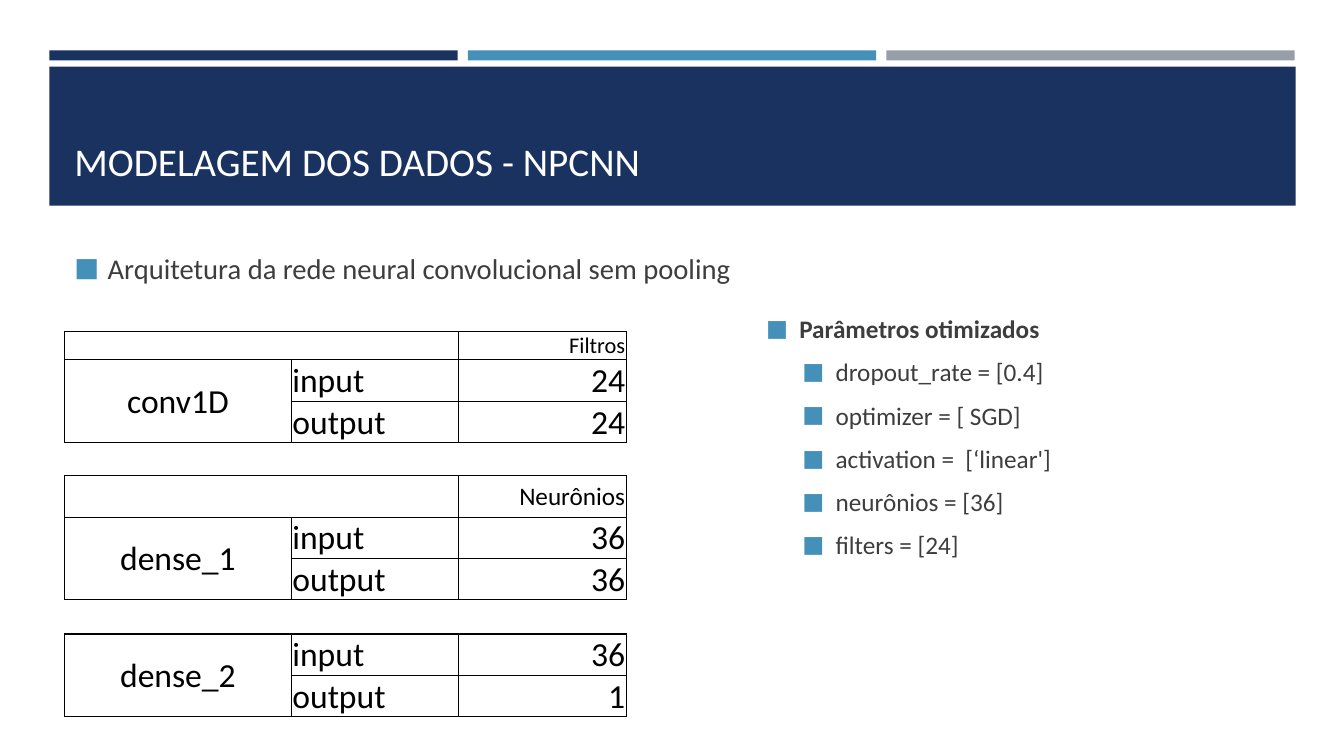
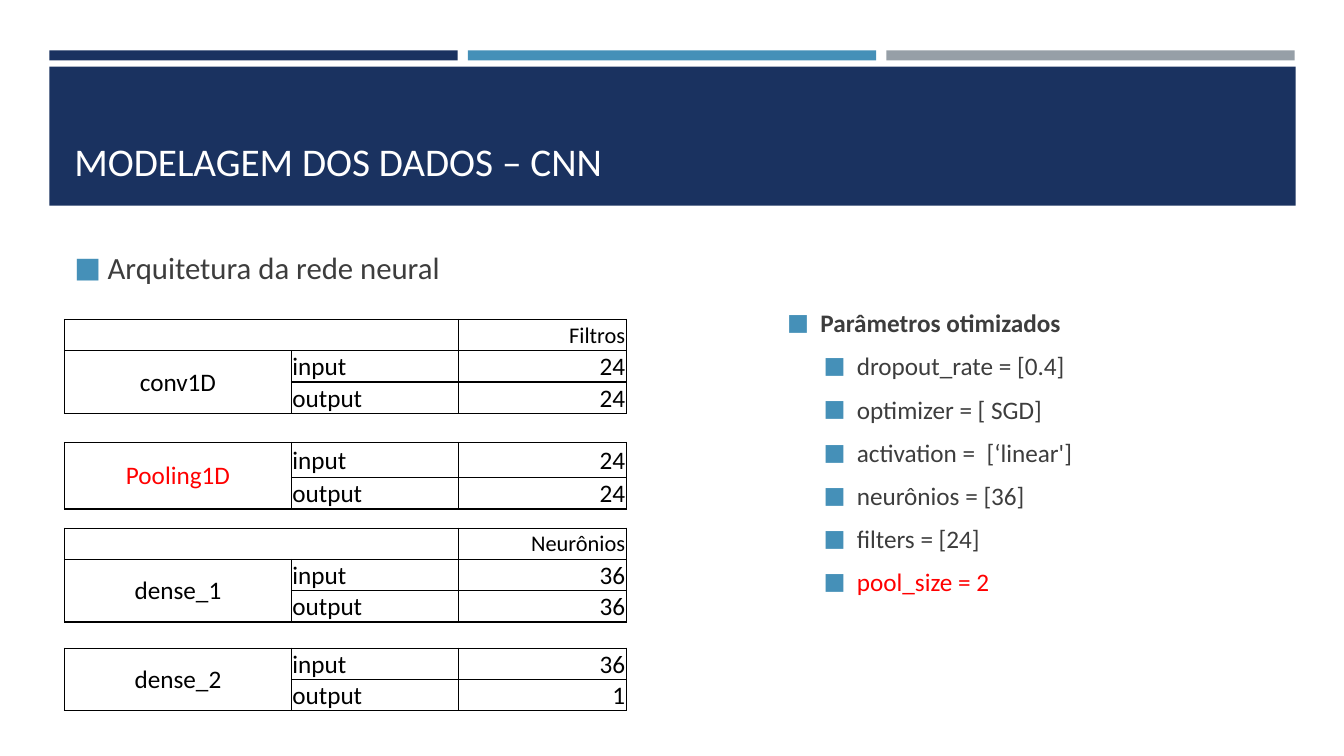
from dataclasses import dataclass

from lxml.etree import SubElement
from pptx import Presentation
from pptx.dml.color import RGBColor
from pptx.enum.shapes import MSO_SHAPE as Preset
from pptx.enum.text import MSO_ANCHOR as Anchor, PP_ALIGN as Align
from pptx.oxml import parse_xml
from pptx.oxml.ns import nsdecls, qn
from pptx.util import Pt

PX = 9144  # EMU per px, 100 px to the inch
FONT = "Calibri"
NAVY = RGBColor(0x1A, 0x32, 0x60)
BLUE = RGBColor(0x45, 0x90, 0xB8)
GRAY = RGBColor(0x96, 0x9F, 0xA7)
INK = RGBColor(0x3D, 0x3D, 0x3D)
RED = RGBColor(0xFF, 0x00, 0x00)
BLACK = RGBColor(0x00, 0x00, 0x00)
WHITE = RGBColor(0xFF, 0xFF, 0xFF)

LEFT = 64
COLUMNS = (225, 166, 166)
BAND_LEFT, BAND_WIDTH = 49, 1236
STRIP_WIDTH, STRIP_STEP = 405, 415
PARAMETERS = ("dropout_rate = [0.4]", "optimizer = [ SGD]", "activation =  [‘linear']",
              "neurônios = [36]", "filters = [24]")


@dataclass(frozen=True)
class Layer:
    """One network layer, shown as a small table."""
    name: str
    top: int
    sizes: tuple[str, str]
    rows: tuple[int, ...]
    header: str = ""
    header_size: int = 16
    color: RGBColor = BLACK


@dataclass(frozen=True)
class Bullet:
    text: str
    size: float = 18
    color: RGBColor = INK
    bold: bool = False
    level: int = 0


@dataclass(frozen=True)
class Model:
    """The content of one slide."""
    title: str
    subtitle: Bullet
    layers: tuple[Layer, ...]
    layer_size: int
    list_left: int
    list_top: int
    extra: tuple[Bullet, ...] = ()


MODELS = (
    Model("MODELAGEM DOS DADOS - NPCNN",
          Bullet("Arquitetura da rede neural convolucional sem pooling", 20.4),
          (Layer("conv1D", 329, ("24", "24"), (28, 41, 41), "Filtros"),
           Layer("dense_1", 472, ("36", "36"), (41, 41, 41), "Neurônios", 18),
           Layer("dense_2", 629, ("36", "1"), (41, 41))),
          24, 750, 311),
    Model("MODELAGEM DOS DADOS – CNN",
          Bullet("Arquitetura da rede neural", 22),
          (Layer("conv1D", 317, ("24", "24"), (31, 31, 31), "Filtros"),
           Layer("Pooling1D", 439, ("24", "24"), (35, 31), color=RED),
           Layer("dense_1", 524, ("36", "36"), (31, 31, 31), "Neurônios"),
           Layer("dense_2", 643, ("36", "1"), (31, 31))),
          18, 771, 305, (Bullet("pool_size = 2", color=RED, level=1),)),
)


def add_run(paragraph, text: str, size: float, color: RGBColor, bold: bool = False) -> None:
    run = paragraph.add_run()
    run.text = text
    font = run.font
    font.name, font.size, font.bold = FONT, Pt(size), bold
    font.color.rgb = color


def add_bar(slide, left: int, top: int, width: int, height: int, color: RGBColor) -> None:
    bar = slide.shapes.add_shape(Preset.RECTANGLE, left * PX, top * PX, width * PX, height * PX)
    bar.shadow.inherit = False
    bar.fill.solid()
    bar.fill.fore_color.rgb = color
    bar.line.fill.background()


def add_text_frame(slide, left: int, top: int, width: int, height: int, anchor: Anchor):
    frame = slide.shapes.add_textbox(left * PX, top * PX, width * PX, height * PX).text_frame
    frame.word_wrap = True
    frame.vertical_anchor = anchor
    return frame


def add_bullet(paragraph, bullet: Bullet, space_before: float = 0) -> None:
    paragraph.level = bullet.level
    paragraph.space_before, paragraph.space_after = Pt(space_before), Pt(6)
    props = paragraph._p.get_or_add_pPr()
    props.set("marL", str((33 + 36 * bullet.level) * PX))
    props.set("indent", str(-33 * PX))
    SubElement(SubElement(props, qn("a:buClr")), qn("a:srgbClr"), val=str(BLUE))
    SubElement(props, qn("a:buSzPct"), val="92000")
    SubElement(props, qn("a:buFont"), typeface=FONT)
    SubElement(props, qn("a:buChar"), char="■")
    add_run(paragraph, bullet.text, bullet.size, bullet.color, bullet.bold)


def style_cell(cell) -> None:
    cell.fill.solid()
    cell.fill.fore_color.rgb = WHITE
    cell.vertical_anchor = Anchor.MIDDLE
    cell.margin_left = cell.margin_right = cell.margin_top = PX
    cell.margin_bottom = 0
    # Borders come before the fill
    for index, side in enumerate(("lnL", "lnR", "lnT", "lnB")):
        cell._tc.get_or_add_tcPr().insert(index, parse_xml(
            f'<a:{side} {nsdecls("a")} w="12700"><a:solidFill>'
            f'<a:srgbClr val="{BLACK}"/></a:solidFill></a:{side}>'))


def add_layer(slide, layer: Layer, size: int) -> None:
    table = slide.shapes.add_table(len(layer.rows), len(COLUMNS), LEFT * PX, layer.top * PX,
                                   sum(COLUMNS) * PX, sum(layer.rows) * PX).table
    table.first_row = table.horz_banding = False
    for column, width in zip(table.columns, COLUMNS):
        column.width = width * PX
    for row, height in zip(table.rows, layer.rows):
        row.height = height * PX

    # Cell contents by row and column
    first = len(layer.rows) - 2
    contents = {(first, 0): (layer.name, size, layer.color, Align.CENTER)}
    if layer.header:
        contents[0, 2] = (layer.header, layer.header_size, BLACK, Align.RIGHT)
    for offset, label in enumerate(("input", "output")):
        contents[first + offset, 1] = (label, size, BLACK, Align.LEFT)
        contents[first + offset, 2] = (layer.sizes[offset], size, BLACK, Align.RIGHT)

    for row in range(len(layer.rows)):
        for column in range(len(COLUMNS)):
            cell = table.cell(row, column)
            style_cell(cell)
            paragraph = cell.text_frame.paragraphs[0]
            if (row, column) in contents:
                text, text_size, color, paragraph.alignment = contents[row, column]
                add_run(paragraph, text, text_size, color)
            else:  # keeps empty cells from stretching the row
                SubElement(paragraph._p, qn("a:endParaRPr"), sz="1000")
    if layer.header:
        table.cell(0, 0).merge(table.cell(0, 1))
    table.cell(first, 0).merge(table.cell(first + 1, 0))


def add_frame(slide, title: str) -> None:
    """Draws the strips, the title band and the title."""
    for index, color in enumerate((NAVY, BLUE, GRAY)):
        add_bar(slide, BAND_LEFT + index * STRIP_STEP, 50, STRIP_WIDTH, 10, color)
    add_bar(slide, BAND_LEFT, 66, BAND_WIDTH, 138, NAVY)
    frame = add_text_frame(slide, LEFT, 80, 1206, 108, Anchor.BOTTOM)
    add_run(frame.paragraphs[0], title, 28, WHITE)


def add_parameters(slide, model: Model) -> None:
    frame = add_text_frame(slide, model.list_left, model.list_top, 540, 300, Anchor.TOP)
    frame.margin_top = 0
    add_bullet(frame.paragraphs[0], Bullet("Parâmetros otimizados", bold=True))
    for bullet in (*(Bullet(text, level=1) for text in PARAMETERS), *model.extra):
        add_bullet(frame.add_paragraph(), bullet, 3.25)


def main() -> None:
    deck = Presentation()
    deck.slide_width, deck.slide_height = 1333 * PX, 750 * PX
    for model in MODELS:
        slide = deck.slides.add_slide(deck.slide_layouts[6])
        add_frame(slide, model.title)
        subtitle = add_text_frame(slide, LEFT, 229, 686, 73, Anchor.MIDDLE)
        add_bullet(subtitle.paragraphs[0], model.subtitle)
        for layer in model.layers:
            add_layer(slide, layer, model.layer_size)
        add_parameters(slide, model)
    deck.save("out.pptx")


if __name__ == "__main__":
    main()
